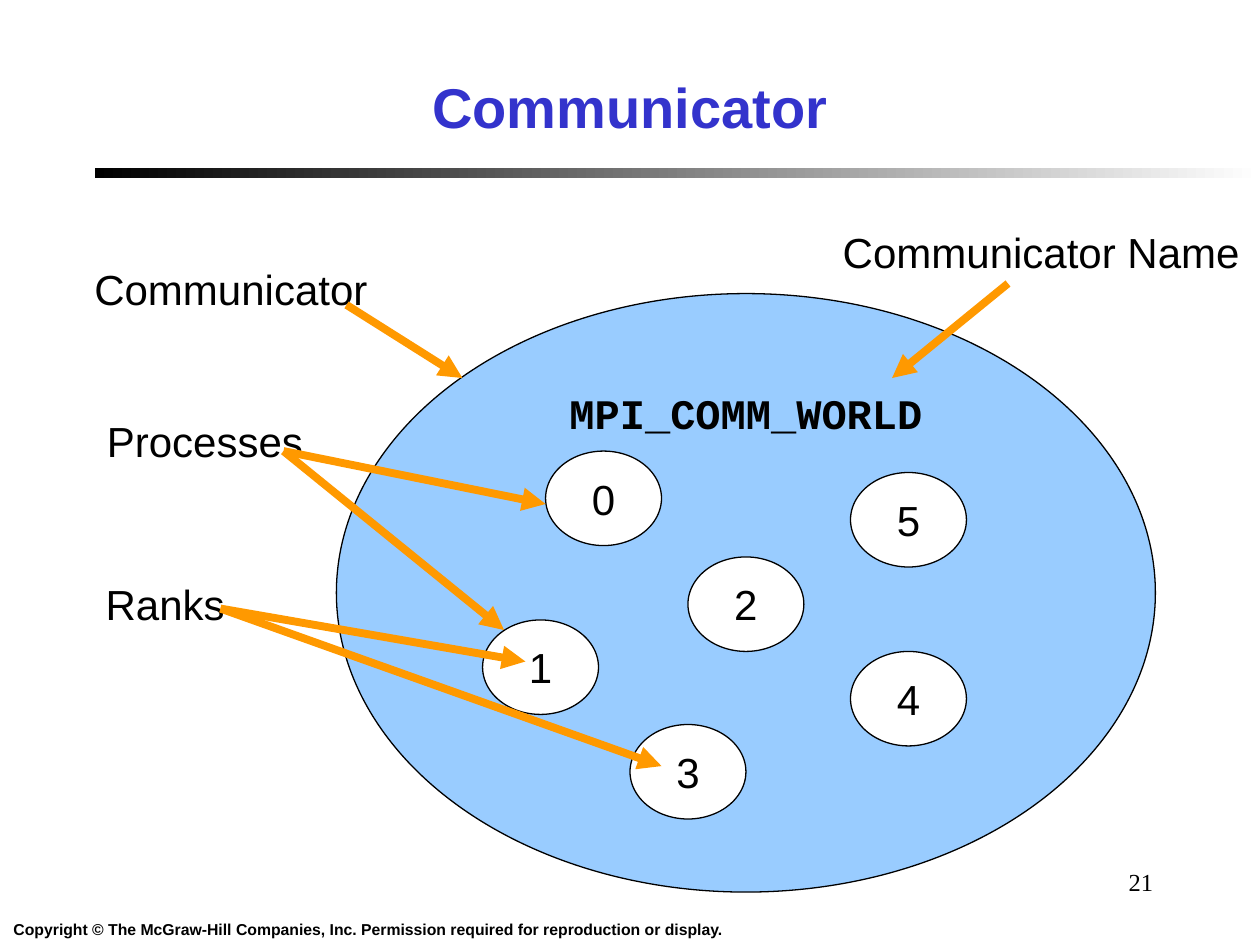
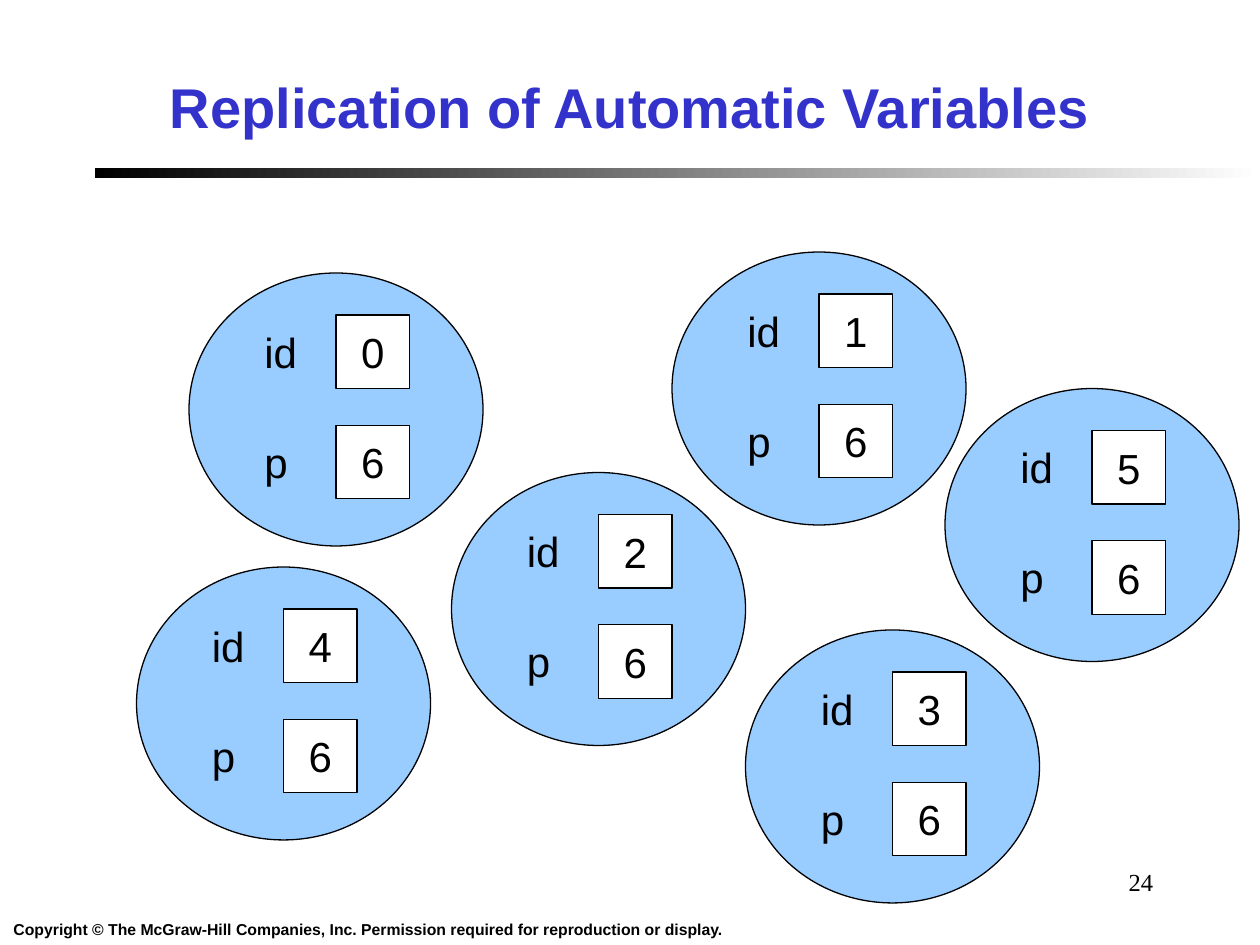
from dataclasses import dataclass

from lxml.etree import SubElement
from pptx import Presentation
from pptx.dml.color import RGBColor
from pptx.enum.shapes import MSO_CONNECTOR, MSO_SHAPE
from pptx.enum.text import MSO_ANCHOR, PP_ALIGN
from pptx.oxml.ns import qn
from pptx.util import Inches, Pt


@dataclass(frozen=True)
class Theme:
    title_blue: RGBColor = RGBColor(0x33, 0x33, 0xCC)
    pale_blue: RGBColor = RGBColor(0x99, 0xCC, 0xFF)
    orange: RGBColor = RGBColor(0xFF, 0x99, 0x00)
    black: RGBColor = RGBColor(0, 0, 0)
    white: RGBColor = RGBColor(0xFF, 0xFF, 0xFF)
    sans: str = "Arial"
    serif: str = "Times New Roman"
    mono: str = "Courier New"
    title_size: int = 32
    label_size: int = 24
    number_size: int = 14
    footer_size: int = 9
    outline: float = 0.75
    arrow_width: float = 4.5


THEME = Theme()
GRID = 1 / 12  # inches in one step of the process drawing
COPYRIGHT = ("Copyright © The McGraw-Hill Companies, Inc. "
             "Permission required for reproduction or display.")


# Text
def write(shape, text, size=THEME.label_size, name=THEME.sans, bold=False,
          color=THEME.black, align=PP_ALIGN.LEFT, anchor=MSO_ANCHOR.TOP, wrap=False):
    frame = shape.text_frame
    frame.word_wrap = wrap
    frame.vertical_anchor = anchor
    para = frame.paragraphs[0]
    para.text = text
    para.alignment = align
    font = para.font
    font.name, font.size, font.bold = name, Pt(size), bold
    font.color.rgb = color


def add_label(page, text, left, top, width, height=0.5, **style):
    box = page.shapes.add_textbox(Inches(left), Inches(top), Inches(width), Inches(height))
    write(box, text, **style)


# Outlined shapes, with centred text if any
def add_figure(page, kind, left, top, width, height, fill, text="",
               anchor=MSO_ANCHOR.MIDDLE, **style):
    shape = page.shapes.add_shape(kind, Inches(left), Inches(top),
                                  Inches(width), Inches(height))
    shape.shadow.inherit = False
    shape.fill.solid()
    shape.fill.fore_color.rgb = fill
    shape.line.color.rgb = THEME.black
    shape.line.width = Pt(THEME.outline)
    if text:
        write(shape, text, align=PP_ALIGN.CENTER, anchor=anchor, **style)


def add_arrow(page, start, end):
    arrow = page.shapes.add_connector(MSO_CONNECTOR.STRAIGHT,
                                      *(Inches(value) for value in (*start, *end)))
    arrow.line.color.rgb = THEME.orange
    arrow.line.width = Pt(THEME.arrow_width)
    properties = arrow._element.spPr
    SubElement(properties.find(qn("a:ln")), qn("a:tailEnd"), type="triangle")
    SubElement(properties, qn("a:effectLst"))


# Shared frame: rule, copyright line, page number and title
def add_page(deck, title, number):
    page = deck.slides.add_slide(deck.slide_layouts[5])
    rule = page.shapes.add_shape(MSO_SHAPE.RECTANGLE, Inches(0.75), Inches(1.33),
                                 Inches(9.25), Inches(0.08))
    rule.shadow.inherit = False
    rule.line.fill.background()
    rule.fill.gradient()
    rule.fill.gradient_angle = 0
    for stop, color in zip(rule.fill.gradient_stops, (THEME.black, THEME.white)):
        stop.color.rgb = color

    add_label(page, COPYRIGHT, 0, 7.25, 5.84, 0.25, size=THEME.footer_size,
              bold=True, align=PP_ALIGN.CENTER)
    add_label(page, str(number), 7.17, 6.83, 2.08, size=THEME.number_size,
              name=THEME.serif, align=PP_ALIGN.RIGHT, wrap=True)

    heading = page.shapes.title
    heading.left, heading.top = Inches(0.25), Inches(0.34)
    heading.width, heading.height = Inches(9.5), Inches(1)
    write(heading, title, size=THEME.title_size, bold=True, color=THEME.title_blue,
          align=PP_ALIGN.CENTER, anchor=MSO_ANCHOR.MIDDLE, wrap=True)
    return page


def add_communicator_page(deck):
    page = add_page(deck, "Communicator", 21)
    add_figure(page, MSO_SHAPE.OVAL, 2.67, 2.33, 6.5, 4.75, THEME.pale_blue,
               "MPI_COMM_WORLD", anchor=MSO_ANCHOR.TOP, name=THEME.mono, bold=True)

    # Processes, numbered by rank
    processes = [(4.33, 3.58), (3.83, 4.92), (5.46, 4.42),
                 (5, 5.75), (6.75, 5.17), (6.75, 3.75)]
    for rank, (left, top) in enumerate(processes):
        add_figure(page, MSO_SHAPE.OVAL, left, top, 0.92, 0.75, THEME.white, str(rank))

    # Callouts: text, left, top, width, arrow start, arrow ends
    callouts = [
        ("Communicator", 0.65, 2.04, 2.45, (2.75, 2.42), [(3.67, 3)]),
        ("Processes", 0.75, 3.25, 1.85, (2.25, 3.58), [(4.33, 4), (4, 5)]),
        ("Ranks", 0.74, 4.54, 1.25, (1.75, 4.83), [(5.25, 6.08), (4.17, 5.25)]),
        ("Communicator Name", 6.59, 1.75, 3.4, (8, 2.25), [(7.08, 3)]),
    ]
    for text, left, top, width, start, ends in callouts:
        add_label(page, text, left, top, width)
        for end in ends:
            add_arrow(page, start, end)


# One process with its own copy of each variable, placed in grid steps
def add_process(page, column, row, variables):
    left, top, cell = column * GRID, row * GRID, 7 * GRID
    add_figure(page, MSO_SHAPE.OVAL, left, top, 28 * GRID, 26 * GRID, THEME.pale_blue)
    for index, (name, value) in enumerate(variables):
        cell_top = top + (4 + index * 10.5) * GRID
        add_figure(page, MSO_SHAPE.RECTANGLE, left + 14 * GRID, cell_top, cell, cell,
                   THEME.white, str(value))
        add_label(page, name, left + 6 * GRID, cell_top + 0.04, 0.5)


def add_variables_page(deck):
    page = add_page(deck, "Replication of Automatic Variables", 24)
    processes = [(18, 26), (64, 24), (43, 45), (71, 60), (13, 54), (90, 37)]
    for rank, (column, row) in enumerate(processes):
        add_process(page, column, row, [("id", rank), ("p", len(processes))])


def main():
    deck = Presentation()
    deck.slide_width, deck.slide_height = Inches(10), Inches(7.5)
    add_communicator_page(deck)
    add_variables_page(deck)
    deck.save("out.pptx")


if __name__ == "__main__":
    main()
